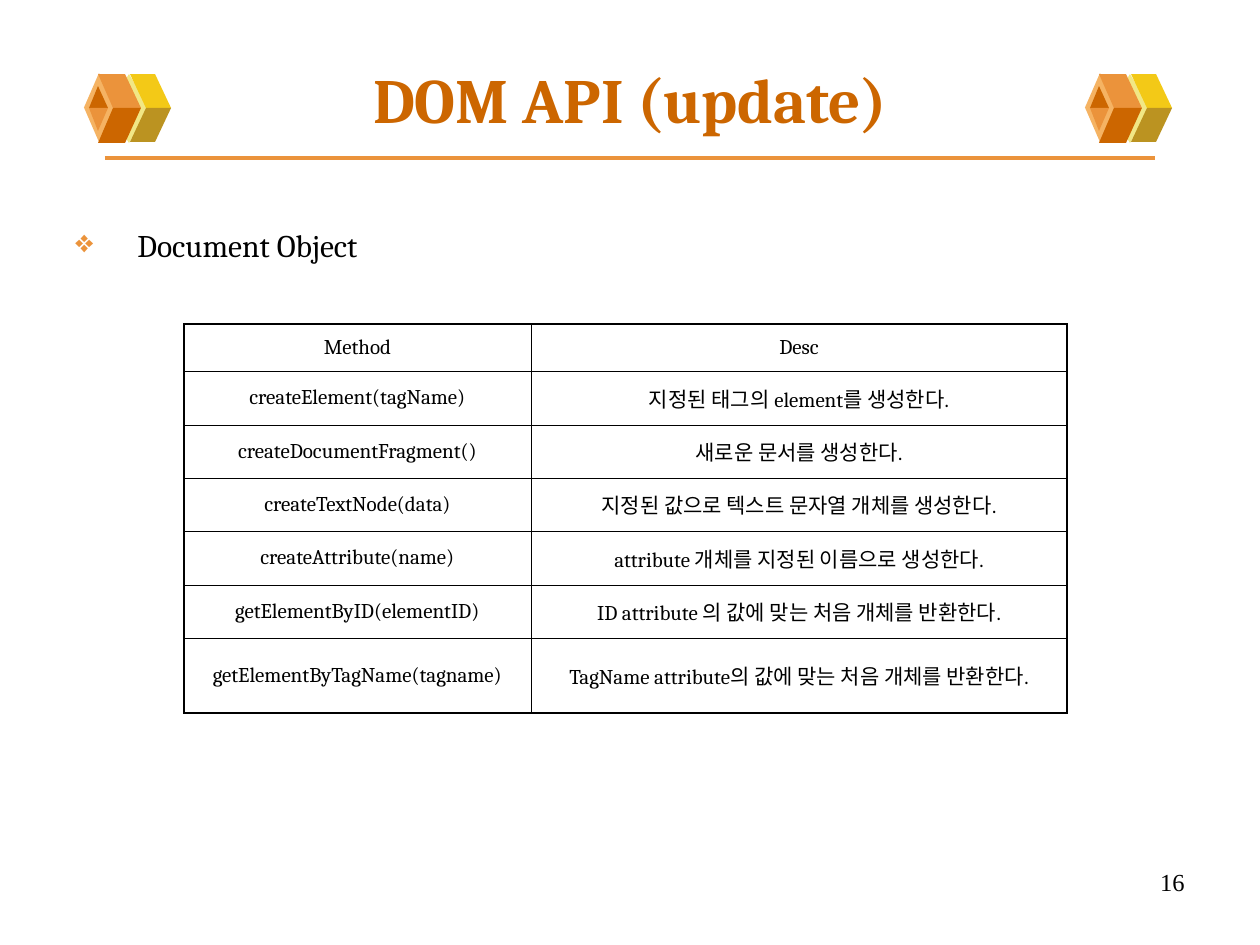
from lxml.etree import SubElement
from pptx import Presentation
from pptx.dml.color import RGBColor
from pptx.enum.shapes import MSO_CONNECTOR, MSO_SHAPE
from pptx.enum.text import MSO_ANCHOR, PP_ALIGN
from pptx.oxml import parse_xml
from pptx.oxml.ns import nsdecls, qn
from pptx.util import Pt

SCALE = 914400 / 126
BLACK = RGBColor(0x00, 0x00, 0x00)
WHITE = RGBColor(0xFF, 0xFF, 0xFF)
RUST = RGBColor(0xCC, 0x66, 0x00)
ORANGE = RGBColor(0xEB, 0x93, 0x3B)
PEACH = RGBColor(0xF5, 0xB3, 0x63)
CREAM = RGBColor(0xF1, 0xE7, 0x85)
YELLOW = RGBColor(0xF3, 0xC9, 0x17)
OLIVE = RGBColor(0xBB, 0x93, 0x21)

SERIF = "Cambria"
TITLE = "DOM API (update)"
BULLET = "Document Object"
PAGE_NUMBER = "16"
METHODS = [
    ("Method", "Desc"),
    ("createElement(tagName)", "지정된 태그의 element를 생성한다."),
    ("createDocumentFragment()", "새로운 문서를 생성한다."),
    ("createTextNode(data)", "지정된 값으로 텍스트 문자열 개체를 생성한다."),
    ("createAttribute(name)", "attribute 개체를 지정된 이름으로 생성한다."),
    ("getElementByID(elementID)", "ID attribute 의 값에 맞는 처음 개체를 반환한다."),
    ("getElementByTagName(tagname)", "TagName attribute의 값에 맞는 처음 개체를 반환한다."),
]
TABLE_LEFT, TABLE_TOP = 184, 324
COLUMN_WIDTHS = [347, 536]
ROW_HEIGHTS = [47, 54, 53, 53, 54, 54, 74]

EMBLEM_LEFTS = [84, 1085]
EMBLEM_MIDDLE = 108
EMBLEM_PARTS = [
    ("diamond", (24, 74, 42, 69), CREAM),
    ("outline", [(62, 0), (87, 0), (71, -34), (46, -34)], YELLOW),
    ("outline", [(62, 0), (87, 0), (71, 34), (46, 34)], OLIVE),
    ("diamond", (0, 73, 30, 69), PEACH),
    ("outline", [(29, 0), (57, 0), (41, -34), (14, -34)], ORANGE),
    ("outline", [(29, 0), (57, 0), (41, 35), (14, 35)], RUST),
    ("outline", [(14, -22), (5, 0), (24, 0)], RUST),
    ("outline", [(14, 23), (5, 0), (24, 0)], ORANGE),
]


def px(value):
    return round(value * SCALE)


def add_emblem(page, left):
    for kind, geometry, color in EMBLEM_PARTS:
        if kind == "diamond":
            x, y, width, height = geometry
            part = page.shapes.add_shape(
                MSO_SHAPE.DIAMOND, px(left + x), px(y), px(width), px(height))
        else:
            points = [(left + x, EMBLEM_MIDDLE + y) for x, y in geometry]
            builder = page.shapes.build_freeform(*points[0], scale=SCALE)
            builder.add_line_segments(points[1:], close=True)
            part = builder.convert_to_shape()
        part.shadow.inherit = False
        part.fill.solid()
        part.fill.fore_color.rgb = color
        part.line.fill.background()


def add_rule(page):
    rule = page.shapes.add_connector(
        MSO_CONNECTOR.STRAIGHT, px(105), px(158), px(1155), px(158))
    rule.line.color.rgb = ORANGE
    rule.line.width = Pt(2.25)
    SubElement(rule._element.spPr, qn("a:effectLst"))


def style_paragraph(para, text, size, color=BLACK, font=SERIF, align=PP_ALIGN.CENTER):
    para.text = text
    para.alignment = align
    para.font.name = font
    para.font.size = Pt(size)
    para.font.color.rgb = color


def add_text(page, bounds, text, size, anchor=MSO_ANCHOR.TOP, **style):
    box = page.shapes.add_textbox(*map(px, bounds))
    box.text_frame.word_wrap = True
    box.text_frame.vertical_anchor = anchor
    para = box.text_frame.paragraphs[0]
    style_paragraph(para, text, size, **style)
    return para


def add_bullet(para):
    props = para._p.get_or_add_pPr()
    props.set("marL", str(px(62)))
    props.set("indent", str(-px(62)))
    para.space_before = Pt(4.5)
    color = SubElement(props, qn("a:buClr"))
    SubElement(color, qn("a:srgbClr"), val=str(ORANGE))
    SubElement(props, qn("a:buChar"), char="❖")


def set_borders(cell, widths):
    props = cell._tc.get_or_add_tcPr()
    for index, (side, width) in enumerate(widths.items()):
        props.insert(index, parse_xml(
            f'<a:ln{side} {nsdecls("a")} w="{Pt(width)}"><a:solidFill>'
            f'<a:srgbClr val="{BLACK}"/></a:solidFill></a:ln{side}>'))


def add_methods_table(page):
    last_row, last_column = len(ROW_HEIGHTS) - 1, len(COLUMN_WIDTHS) - 1
    table = page.shapes.add_table(
        len(ROW_HEIGHTS), len(COLUMN_WIDTHS), px(TABLE_LEFT), px(TABLE_TOP),
        px(sum(COLUMN_WIDTHS)), px(sum(ROW_HEIGHTS))).table
    table.first_row = table.horz_banding = False
    for column, width in zip(table.columns, COLUMN_WIDTHS):
        column.width = px(width)
    for r, (entries, height) in enumerate(zip(METHODS, ROW_HEIGHTS)):
        table.rows[r].height = px(height)
        for c, text in enumerate(entries):
            cell = table.cell(r, c)
            cell.fill.background()
            cell.vertical_anchor = MSO_ANCHOR.MIDDLE
            para = cell.text_frame.paragraphs[0]
            style_paragraph(para, text, 12)
            para.space_before = Pt(3)
            outer = {"L": c == 0, "R": c == last_column, "T": r == 0, "B": r == last_row}
            set_borders(cell, {side: 1.08 if edge else 0.45 for side, edge in outer.items()})


def main():
    deck = Presentation()
    deck.slide_width, deck.slide_height = px(1260), px(945)
    page = deck.slides.add_slide(deck.slide_layouts[6])
    page.background.fill.solid()
    page.background.fill.fore_color.rgb = WHITE
    add_rule(page)
    for left in EMBLEM_LEFTS:
        add_emblem(page, left)
    title = add_text(page, (63, 38, 1134, 120), TITLE, 36, MSO_ANCHOR.MIDDLE, color=RUST)
    title.font.bold = True
    add_bullet(add_text(page, (63, 220, 1143, 624), BULLET, 18, align=PP_ALIGN.LEFT))
    add_methods_table(page)
    add_text(page, (903, 861, 294, 38), PAGE_NUMBER, 14,
             font="Times New Roman", align=PP_ALIGN.RIGHT)
    deck.save("out.pptx")


if __name__ == "__main__":
    main()
